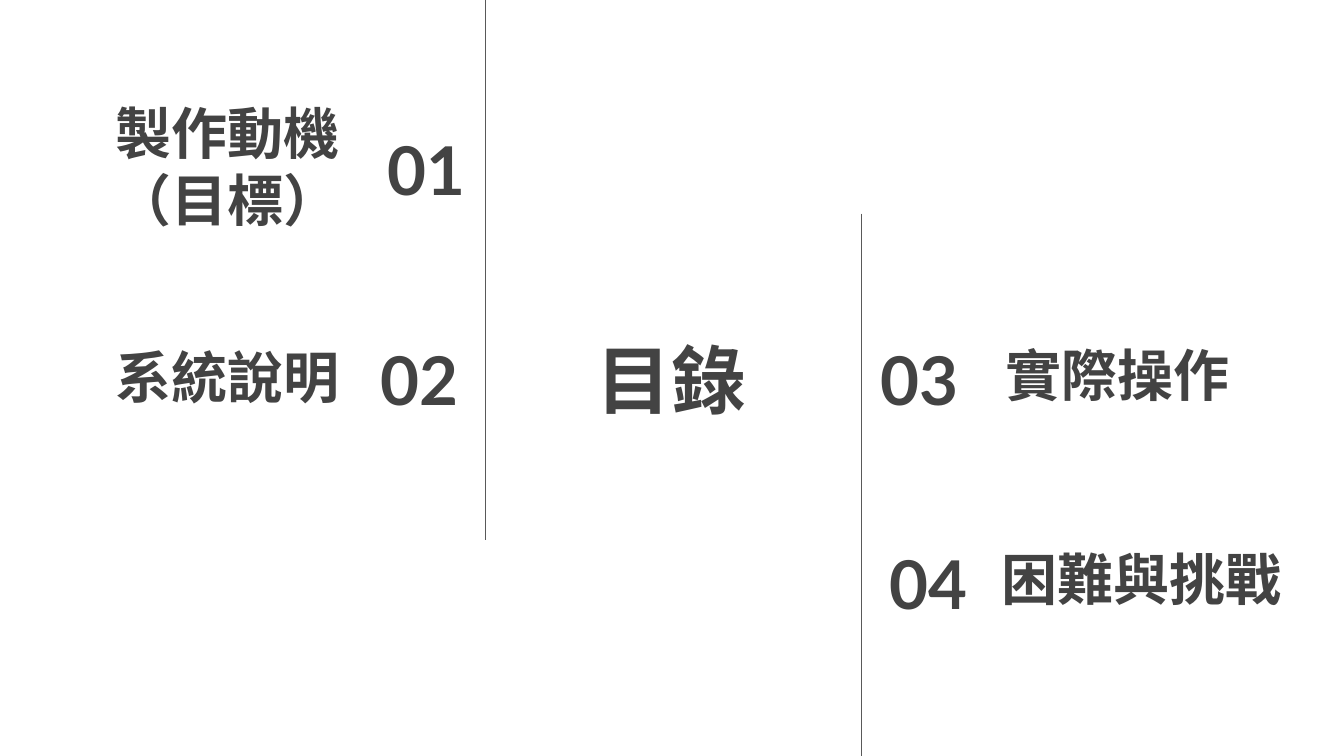
from lxml import etree
from pptx import Presentation
from pptx.dml.color import RGBColor
from pptx.enum.shapes import MSO_CONNECTOR
from pptx.enum.text import MSO_ANCHOR, PP_ALIGN
from pptx.oxml.ns import qn
from pptx.util import Cm, Pt

LEFT, CENTER, RIGHT = PP_ALIGN.LEFT, PP_ALIGN.CENTER, PP_ALIGN.RIGHT
MIDDLE, BOTTOM = MSO_ANCHOR.MIDDLE, MSO_ANCHOR.BOTTOM
STRAIGHT = MSO_CONNECTOR.STRAIGHT

COLORS = {"text": "434343", "rule": "595959"}
CJK, LATIN = "Noto Sans CJK SC", "Lato"
WIDTH, HEIGHT = 25.4, 14.29
INSET = 0.25
ROW_H = 1.6


def write(tf, text, *, size, font, align=LEFT, anchor=MIDDLE):
    """Put one bold paragraph into a text frame."""
    tf.word_wrap = True
    tf.vertical_anchor = anchor
    tf.margin_left = tf.margin_right = Cm(INSET)
    tf.margin_top = tf.margin_bottom = Cm(INSET)
    p = tf.paragraphs[0]
    p.alignment = align
    r = p.add_run()
    r.text = text
    r.font.size = Pt(size)
    r.font.bold = True
    r.font.name = font
    r.font.color.rgb = RGBColor.from_string(COLORS["text"])
    # East Asian characters take their font from a:ea
    ea = etree.SubElement(r.font._element, qn("a:ea"))
    ea.set("typeface", font)


class AgendaSlide:
    def __init__(self, s):
        self.s = s

    def text(self, text, x, y, w, h, **style):
        sp = self.s.shapes.add_textbox(Cm(x), Cm(y), Cm(w), Cm(h))
        write(sp.text_frame, text, **style)

    def title(self, text, x, y, w, h):
        self.text(text, x, y, w, h, size=40, font=CJK, align=CENTER)

    def number(self, text, x, y, w, align):
        self.text(text, x, y, w, ROW_H, size=36, font=LATIN, align=align)

    def label(self, text, x, y, w, h, align):
        self.text(text, x, y, w, h, size=30, font=CJK, align=align, anchor=BOTTOM)

    def rule(self, x, top, bottom):
        line = self.s.shapes.add_connector(STRAIGHT, Cm(x), Cm(top), Cm(x), Cm(bottom))
        line.line.color.rgb = RGBColor.from_string(COLORS["rule"])
        line.line.width = Pt(0.75)
        etree.SubElement(line._element.spPr, qn("a:effectLst"))


def main():
    prs = Presentation()
    prs.slide_width, prs.slide_height = Cm(WIDTH), Cm(HEIGHT)
    agenda = AgendaSlide(prs.slides.add_slide(prs.slide_layouts[6]))

    # Heading between the two rules
    agenda.title("目錄", 9.4, 5.84, 6.58, 2.62)

    # Section numbers: text, x, y, width, alignment
    for number in (
        ("01", 5.97, 2.39, 3.07, RIGHT),
        ("02", 5.84, 6.35, 3.07, RIGHT),
        ("03", 16.23, 6.35, 2.13, RIGHT),
        ("04", 16.56, 10.21, 2.97, LEFT),
    ):
        agenda.number(*number)

    # Section names: text, x, y, width, height, alignment
    for label in (
        ("製作動機（目標）", 1.17, 1.75, 5.49, 2.9, RIGHT),
        ("系統說明", 1.17, 6.4, 5.49, ROW_H, RIGHT),
        ("實際操作", 18.75, 6.35, 5.49, ROW_H, LEFT),
        ("困難與挑戰", 18.67, 10.21, 6.65, ROW_H, LEFT),
    ):
        agenda.label(*label)

    # Vertical rules, one from the top edge and one to the bottom edge
    agenda.rule(9.17, 0, 10.21)
    agenda.rule(16.28, 4.04, HEIGHT)

    prs.save("out.pptx")


if __name__ == "__main__":
    main()
